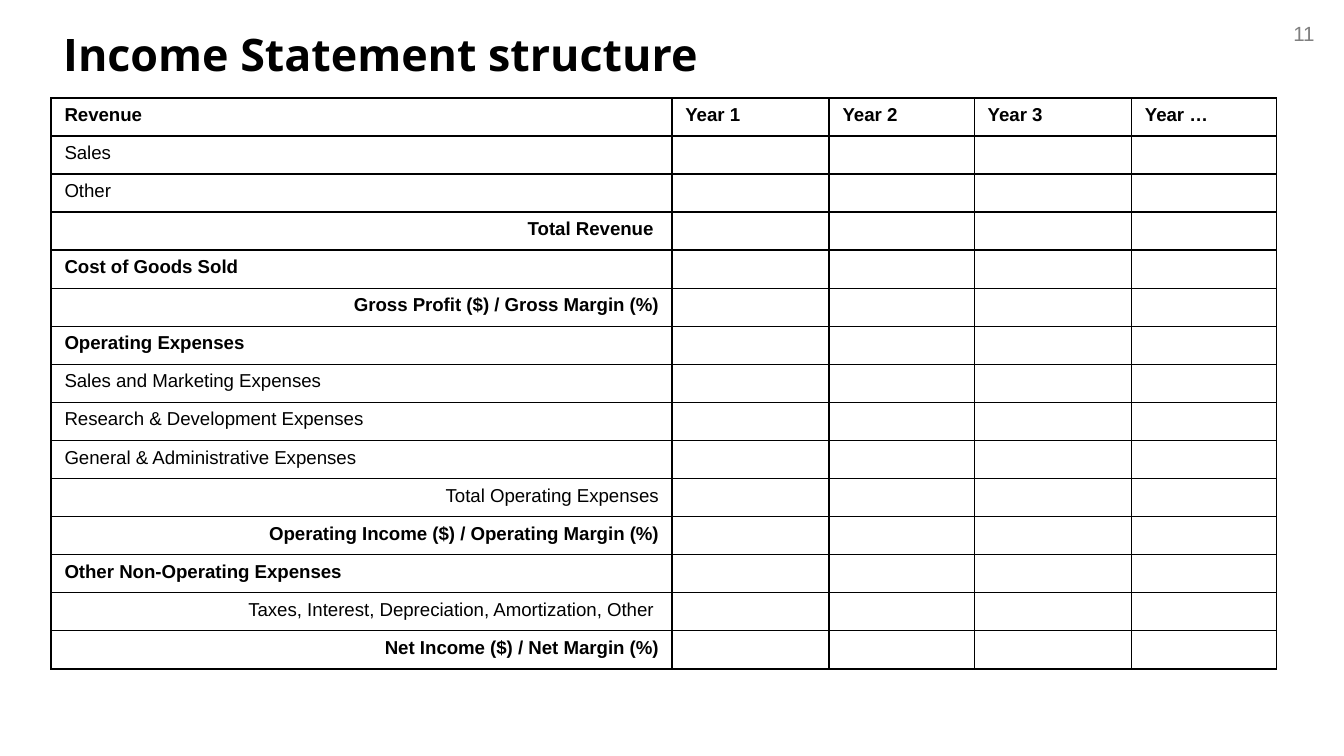
from dataclasses import dataclass

from lxml import etree
from pptx import Presentation
from pptx.dml.color import RGBColor
from pptx.enum import text
from pptx.oxml import ns
from pptx.util import Pt


@dataclass(frozen=True)
class Theme:
    ink: str = "000000"
    paper: str = "FFFFFF"
    muted: str = "808080"
    heading_font: str = "Open Sans"
    body_font: str = "Arial"
    title_size: float = 24
    number_size: float = 11
    body_size: float = 10
    border: float = 1


THEME = Theme()
LEFT, RIGHT = text.PP_ALIGN.LEFT, text.PP_ALIGN.RIGHT
YEARS = ["Year 1", "Year 2", "Year 3", "Year …"]
COLUMN_WIDTHS = [332.64, 84.24, 77.76, 84.24, 77.76]
ROW_HEIGHT = 20.4

# Label, bold, alignment
LINE_ITEMS = [
    ("Revenue", True, LEFT),
    ("Sales", False, LEFT),
    ("Other", False, LEFT),
    ("Total Revenue ", True, RIGHT),
    ("Cost of Goods Sold", True, LEFT),
    ("Gross Profit ($) / Gross Margin (%)", True, RIGHT),
    ("Operating Expenses", True, LEFT),
    ("Sales and Marketing Expenses", False, LEFT),
    ("Research & Development Expenses", False, LEFT),
    ("General & Administrative Expenses", False, LEFT),
    ("Total Operating Expenses", False, RIGHT),
    ("Operating Income ($) / Operating Margin (%)", True, RIGHT),
    ("Other Non-Operating Expenses", True, LEFT),
    ("Taxes, Interest, Depreciation, Amortization, Other ", False, RIGHT),
    ("Net Income ($) / Net Margin (%)", True, RIGHT),
]


def apply(target, values):
    for name, value in values.items():
        setattr(target, name, value)


def write(frame, words, font, size, color, bold=False, align=LEFT):
    paragraph = frame.paragraphs[0]
    paragraph.alignment = align
    run = paragraph.add_run()
    run.text = words
    apply(run.font, {"name": font, "size": Pt(size), "bold": bold})
    run.font.color.rgb = RGBColor.from_string(color)


def add_title(slide, words):
    title = slide.shapes.title
    apply(title, {"left": Pt(26.64), "top": Pt(10.8),
                  "width": Pt(648), "height": Pt(48.24)})
    apply(title.text_frame, {"vertical_anchor": text.MSO_ANCHOR.TOP,
                             "auto_size": text.MSO_AUTO_SIZE.NONE,
                             "word_wrap": True})
    write(title.text_frame, words, THEME.heading_font, THEME.title_size,
          THEME.ink, bold=True)


def add_page_number(slide, number):
    box = slide.shapes.add_textbox(Pt(671.76), Pt(7.92), Pt(39.6), Pt(20.88))
    box.text_frame.word_wrap = True
    write(box.text_frame, number, THEME.body_font, THEME.number_size,
          THEME.muted, align=RIGHT)


def draw_borders(cell):
    properties = cell._tc.get_or_add_tcPr()
    for side in ("lnL", "lnR", "lnT", "lnB"):
        line = etree.SubElement(properties, ns.qn(f"a:{side}"),
                                w=str(Pt(THEME.border)))
        fill = etree.SubElement(line, ns.qn("a:solidFill"))
        etree.SubElement(fill, ns.qn("a:srgbClr"), val=THEME.ink)


def size_empty_cell(cell):
    """Set the body size on an empty cell so that its row keeps its height."""
    etree.SubElement(cell.text_frame.paragraphs[0]._p, ns.qn("a:endParaRPr"),
                     sz=str(int(THEME.body_size * 100)))


def fill_cell(cell, words, bold, align):
    draw_borders(cell)
    cell.fill.solid()
    cell.fill.fore_color.rgb = RGBColor.from_string(THEME.paper)
    if words:
        write(cell.text_frame, words, THEME.body_font, THEME.body_size,
              THEME.ink, bold, align)
    else:
        size_empty_cell(cell)


def add_statement(slide):
    frame = slide.shapes.add_table(
        len(LINE_ITEMS), len(COLUMN_WIDTHS), Pt(27.36), Pt(52.56),
        Pt(sum(COLUMN_WIDTHS)), Pt(ROW_HEIGHT * len(LINE_ITEMS)))
    statement = frame.table
    for column, width in zip(statement.columns, COLUMN_WIDTHS):
        column.width = Pt(width)
    for index, (label, bold, align) in enumerate(LINE_ITEMS):
        statement.rows[index].height = Pt(ROW_HEIGHT)
        fill_cell(statement.cell(index, 0), label, bold, align)
        for position, year in enumerate(YEARS, start=1):
            heading = year if index == 0 else ""
            fill_cell(statement.cell(index, position), heading, True, LEFT)


def main():
    deck = Presentation()
    apply(deck, {"slide_width": Pt(720), "slide_height": Pt(405)})
    slide = deck.slides.add_slide(deck.slide_layouts.get_by_name("Title Only"))
    add_page_number(slide, "11")
    add_title(slide, "Income Statement structure")
    add_statement(slide)
    deck.save("out.pptx")


if __name__ == "__main__":
    main()
